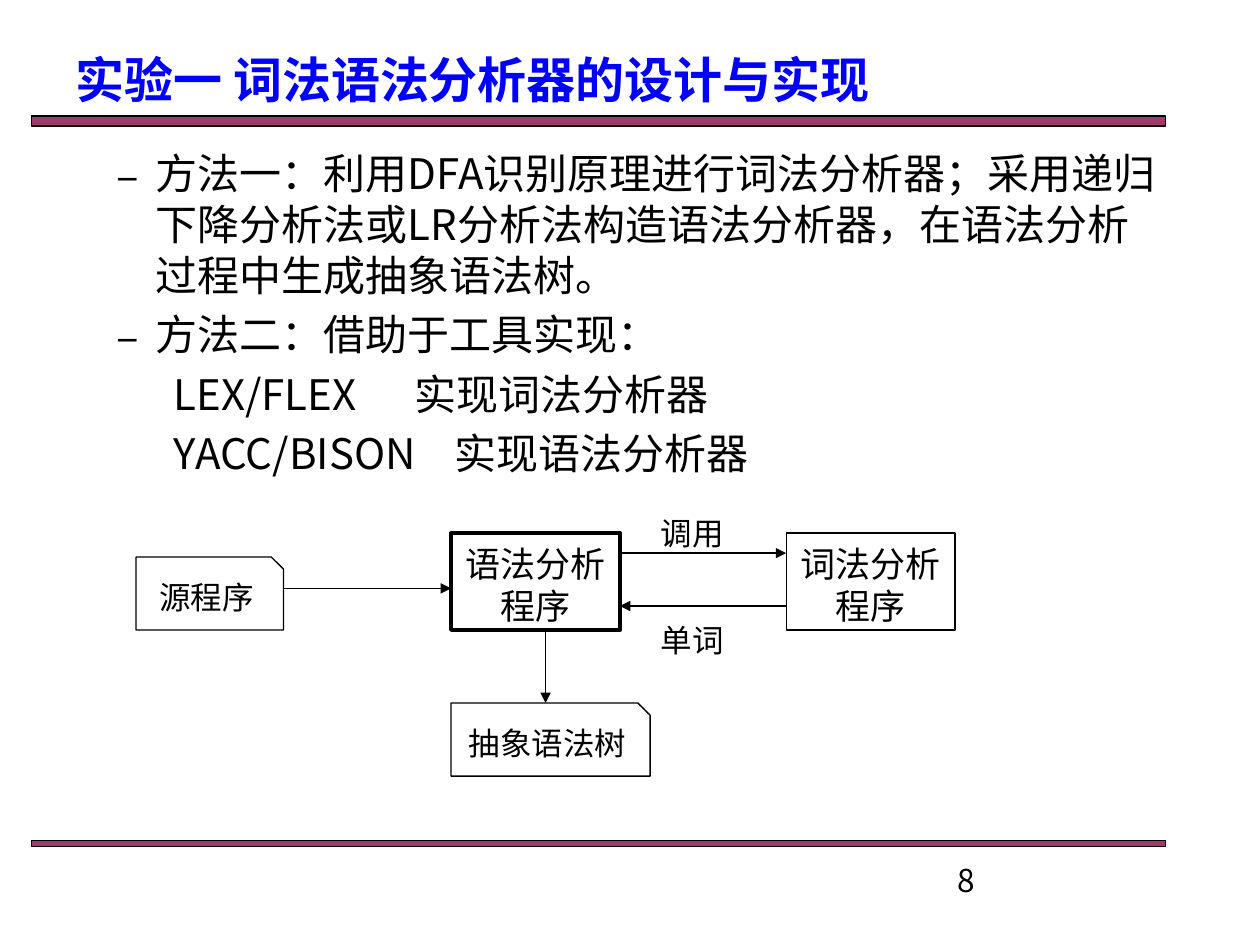
import dataclasses

import pptx
import pptx.dml.color
import pptx.enum.shapes
import pptx.enum.text
import pptx.oxml.ns
import pptx.util
from lxml import etree

Inches = pptx.util.Inches
Pt = pptx.util.Pt
SHAPE = pptx.enum.shapes.MSO_SHAPE
ALIGN = pptx.enum.text.PP_ALIGN
ANCHOR = pptx.enum.text.MSO_ANCHOR
qn = pptx.oxml.ns.qn


@dataclasses.dataclass(frozen=True)
class Theme:
    """Colours, fonts and type sizes of the slide."""
    ink: str = "000000"
    title: str = "0000FF"
    bar: str = "993366"
    bar_alpha: int = 96
    font: str = "Noto Sans CJK SC"
    label_font: str = "Arial"
    title_size: int = 28
    body_size: int = 24
    box_size: int = 20
    label_size: int = 18
    thin: float = 0.75
    thick: float = 2.25
    leading: float = 1.21


THEME = Theme()


def rgb(value):
    """Return a colour object for a hex string."""
    return pptx.dml.color.RGBColor.from_string(value)


def add_run(paragraph, text, size, color=THEME.ink, font=THEME.font, bold=False):
    """Append a formatted run to a paragraph."""
    run = paragraph.add_run()
    run.text = text
    for name, value in {"size": Pt(size), "bold": bold, "name": font}.items():
        setattr(run.font, name, value)
    run.font.color.rgb = rgb(color)
    etree.SubElement(run.font._element, qn("a:ea"), typeface=THEME.font)


def format_frame(shape, anchor=ANCHOR.TOP, wrap=True, top=0.05):
    """Set anchor, wrapping and top inset, and return the text frame."""
    frame = shape.text_frame
    settings = {"vertical_anchor": anchor, "word_wrap": wrap, "margin_top": Inches(top)}
    for name, value in settings.items():
        setattr(frame, name, value)
    return frame


def add_text(slide, box, text, size, align=ALIGN.LEFT, font=THEME.font):
    """Place one top-anchored line of text in a box."""
    frame = format_frame(slide.shapes.add_textbox(*map(Inches, box)), top=0.08)
    line = frame.paragraphs[0]
    line.alignment = align
    line.line_spacing = Pt(size * THEME.leading)
    add_run(line, text, size, font=font)


def add_outline(slide, box, kind, width=THEME.thin):
    """Place an unfilled shape with a dark outline."""
    shape = slide.shapes.add_shape(kind, *map(Inches, box))
    shape.shadow.inherit = False
    shape.fill.background()
    shape.line.color.rgb = rgb(THEME.ink)
    shape.line.width = Pt(width)
    return shape


def add_bar(slide, box):
    """Place a horizontal divider bar."""
    bar = add_outline(slide, box, SHAPE.RECTANGLE)
    bar.fill.solid()
    bar.fill.fore_color.rgb = rgb(THEME.bar)
    color = bar._element.spPr.find(qn("a:solidFill"))[0]
    etree.SubElement(color, qn("a:alpha"), val=str(THEME.bar_alpha * 1000))


def add_title(slide, box, text):
    """Place the slide title."""
    frame = format_frame(slide.shapes.add_textbox(*map(Inches, box)), ANCHOR.MIDDLE)
    add_run(frame.paragraphs[0], text, THEME.title_size, THEME.title, bold=True)


def set_bullet(paragraph):
    """Give a paragraph a hanging dash."""
    props = paragraph._p.get_or_add_pPr()
    props.set("marL", str(Inches(0.81)))
    props.set("indent", str(Inches(-0.31)))
    etree.SubElement(props, qn("a:buFont"), typeface=THEME.font)
    etree.SubElement(props, qn("a:buChar"), char="–")


def set_tabs(paragraph, stops):
    """Give a paragraph left tab stops."""
    props = paragraph._p.get_or_add_pPr()
    tabs = etree.SubElement(props, qn("a:tabLst"))
    for stop in stops:
        etree.SubElement(tabs, qn("a:tab"), pos=str(Inches(stop)), algn="l")


def add_methods(slide, box, methods, tools):
    """Place the bulleted methods and the tabbed tool lines below them."""
    frame = format_frame(slide.shapes.add_textbox(*map(Inches, box)), top=0.09)
    rows = [(text, None) for text in methods]
    rows += [(f"\t{tool}\t{purpose}", (0.95, column)) for tool, purpose, column in tools]
    for index, (text, stops) in enumerate(rows):
        paragraph = frame.add_paragraph() if index else frame.paragraphs[0]
        paragraph.line_spacing = Pt(THEME.body_size * THEME.leading)
        paragraph.space_before = Pt(5 if index else 0)
        if stops:
            set_tabs(paragraph, stops)
        else:
            set_bullet(paragraph)
        add_run(paragraph, text, THEME.body_size)


def add_program(slide, box, text, width=THEME.thin):
    """Place a rectangular program box."""
    frame = format_frame(add_outline(slide, box, SHAPE.RECTANGLE, width), top=0.07)
    paragraph = frame.paragraphs[0]
    paragraph.alignment = ALIGN.CENTER
    paragraph.line_spacing = Pt(THEME.box_size * THEME.leading)
    add_run(paragraph, text, THEME.box_size)


def add_document(slide, box, text):
    """Place a document shape with a snipped corner."""
    shape = add_outline(slide, box, SHAPE.SNIP_1_RECTANGLE)
    frame = format_frame(shape, ANCHOR.MIDDLE, wrap=False)
    frame.paragraphs[0].alignment = ALIGN.CENTER
    add_run(frame.paragraphs[0], text, THEME.label_size)


def add_arrow(slide, start, end):
    """Draw a line with an arrowhead at its end."""
    arrow = slide.shapes.add_connector(
        pptx.enum.shapes.MSO_CONNECTOR.STRAIGHT, *map(Inches, start + end))
    arrow.line.color.rgb = rgb(THEME.ink)
    arrow.line.width = Pt(THEME.thin)
    etree.SubElement(arrow.line._get_or_add_ln(), qn("a:tailEnd"), type="triangle")
    etree.SubElement(arrow._element.spPr, qn("a:effectLst"))


def add_flow(slide, box):
    """Draw the analyser diagram inside a box."""
    left, top, width, height = box
    program_w, program_h, document_h = 1.34, 0.77, 0.58
    parser_x, lexer_x = left + 2.5, left + width - program_w
    program_y, tree_y = top + 0.23, top + height - document_h
    program_end, parser_end = program_y + program_h, parser_x + program_w
    source_w, stem_x = 1.17, left + 3.25
    add_program(slide, (parser_x, program_y, program_w, program_h), "语法分析程序", THEME.thick)
    add_program(slide, (lexer_x, program_y, program_w, program_h), "词法分析程序")
    add_document(slide, (left, program_end - document_h, source_w, document_h), "源程序")
    add_document(slide, (parser_x, tree_y, 1.58, document_h), "抽象语法树")
    for text, y in (("调用", top), ("单词", top + 0.85)):
        add_text(slide, (left + 4, y, 0.83, 0.4), text, THEME.label_size,
                 ALIGN.CENTER, THEME.label_font)
    call_y, token_y, source_y = top + 0.39, top + 0.81, top + 0.67
    for start, end in (
        ((parser_end, call_y), (lexer_x, call_y)),
        ((lexer_x, token_y), (parser_end, token_y)),
        ((left + source_w, source_y), (parser_x, source_y)),
        ((stem_x, program_end), (stem_x, tree_y)),
    ):
        add_arrow(slide, start, end)


def main():
    """Build the slide and save it."""
    deck = pptx.Presentation()
    deck.slide_width, deck.slide_height = Inches(10), Inches(7.5)
    slide = deck.slides.add_slide(deck.slide_layouts[6])
    for y, height in ((0.92, 0.08), (6.67, 0.05)):
        add_bar(slide, (0.25, y, 9, height))
    add_text(slide, (7.5, 6.75, 2.33, 0.27), "8", THEME.label_size)
    add_methods(
        slide, (0.33, 1.08, 9, 5.6),
        ["方法一：利用DFA识别原理进行词法分析器；采用递归下降分析法或LR分析法构造语法分析器，在语法分析过程中生成抽象语法树。",
         "方法二：借助于工具实现："],
        [("LEX/FLEX", "实现词法分析器", 2.86), ("YACC/BISON", "实现语法分析器", 3.18)])
    add_title(slide, (0.5, 0.16, 7.34, 0.93), "实验一 词法语法分析器的设计与实现")
    add_flow(slide, (1.08, 4, 6.5, 2.16))
    deck.save("out.pptx")


if __name__ == "__main__":
    main()
